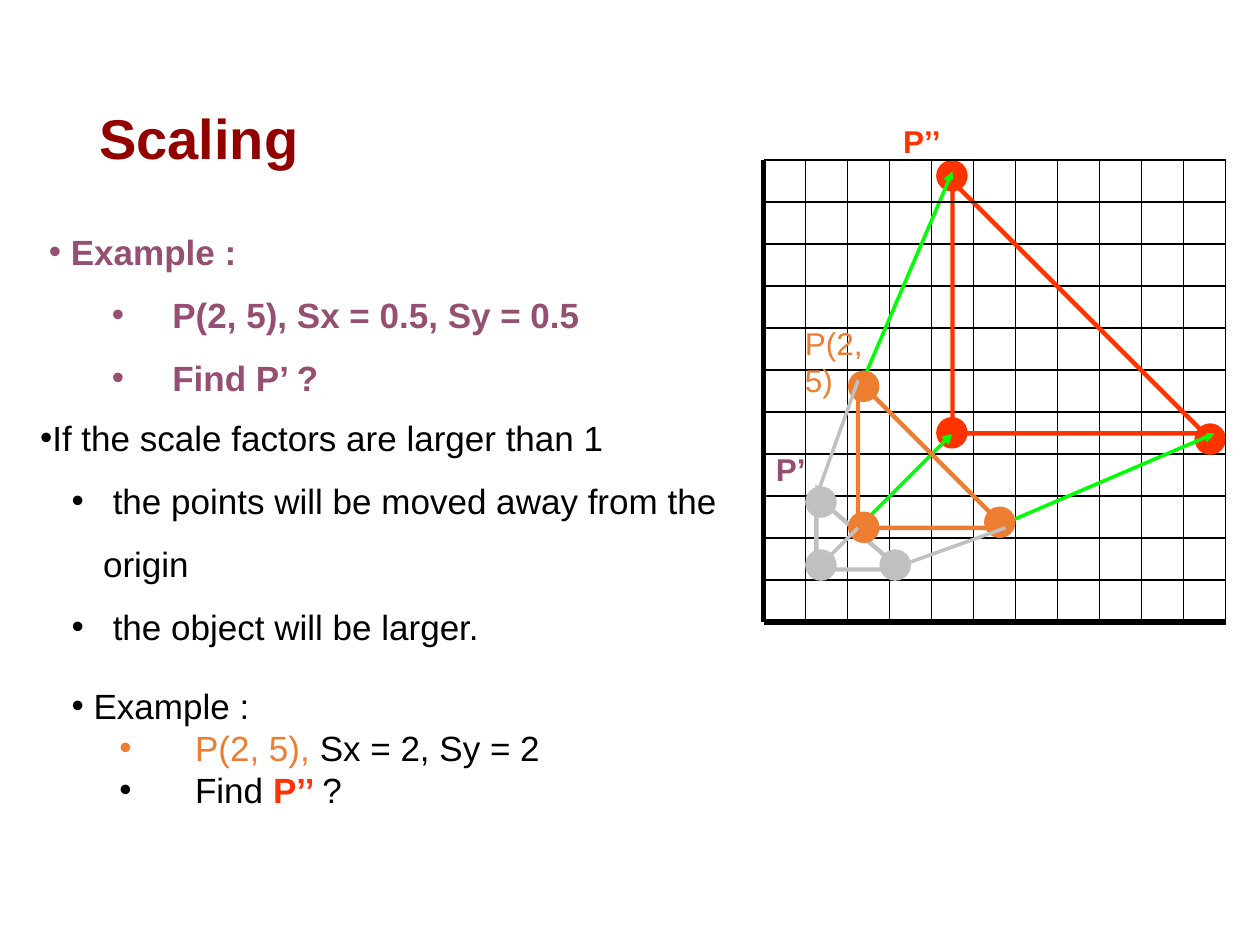
"""Build the slide that explains scaling of points on a grid."""
from dataclasses import dataclass

from lxml.etree import SubElement
from pptx import Presentation
from pptx.dml.color import RGBColor
from pptx.enum.shapes import MSO_CONNECTOR as Connector, MSO_SHAPE as Shape
from pptx.enum.text import MSO_ANCHOR as Anchor, MSO_AUTO_SIZE as AutoSize
from pptx.oxml.ns import qn
from pptx.util import Inches, Pt


@dataclass(frozen=True)
class Theme:
    """Colours, type sizes and line widths."""
    font: str = "Arial"
    black: str = "000000"
    title: str = "920000"
    purple: str = "954F72"
    original: str = "ED7D31"
    smaller: str = "C0C0C0"
    larger: str = "FF3300"
    growth: str = "00FF00"
    title_size: int = 32
    body_size: int = 20
    label_size: int = 18
    axis: float = 3
    grid: float = 0.75
    arrow: float = 2
    outline: float = 2.5


THEME = Theme()
LEFT, TOP, CELLS, CELL = 6.06, 1.27, 11, 1 / 3
RIGHT, BOTTOM = LEFT + CELLS * CELL, TOP + CELLS * CELL
DOT = 0.25


def rgb(colour):
    """Turn a hex colour into an RGBColor."""
    return RGBColor.from_string(colour)


def add_line(slide, start, end, colour, width, arrow=False):
    """Draw a straight line, with an arrowhead at its end if wanted."""
    ends = [Inches(value) for value in (*start, *end)]
    line = slide.shapes.add_connector(Connector.STRAIGHT, *ends)
    line.line.color.rgb = rgb(colour)
    line.line.width = Pt(width)
    properties = line._element.spPr
    if arrow:
        SubElement(properties.find(qn("a:ln")), qn("a:tailEnd"), type="triangle")
    SubElement(properties, qn("a:effectLst"))


def add_grid_lines(slide, columns, rows):
    """Draw grid lines, counted from the lower left corner."""
    for column in columns:
        x = LEFT + column * CELL
        add_line(slide, (x, TOP), (x, BOTTOM), THEME.black, THEME.grid)
    for row in rows:
        y = BOTTOM - row * CELL
        add_line(slide, (LEFT, y), (RIGHT, y), THEME.black, THEME.grid)


def add_axes(slide):
    """Draw the two thick axes."""
    origin = (LEFT, BOTTOM)
    add_line(slide, (LEFT, TOP), origin, THEME.black, THEME.axis)
    add_line(slide, origin, (RIGHT, BOTTOM), THEME.black, THEME.axis)


def add_vertices(slide, corners, colour):
    """Draw a dot at each vertex of a triangle."""
    for left, top in corners:
        vertex = slide.shapes.add_shape(
            Shape.OVAL, Inches(left), Inches(top), Inches(DOT), Inches(DOT))
        vertex.fill.solid()
        vertex.fill.fore_color.rgb = rgb(colour)
        vertex.line.fill.background()
        vertex.shadow.inherit = False


def add_triangle(slide, box, colour):
    """Outline a right triangle."""
    triangle = slide.shapes.add_shape(Shape.RIGHT_TRIANGLE, *map(Inches, box))
    triangle.fill.background()
    triangle.line.color.rgb = rgb(colour)
    triangle.line.width = Pt(THEME.outline)
    triangle.shadow.inherit = False


def add_moves(slide, moves, colour):
    """Draw the arrows that carry vertices to their scaled places."""
    for start, end in moves:
        add_line(slide, start, end, colour, THEME.arrow, arrow=True)


def add_runs(paragraph, runs, size):
    """Fill a paragraph with (text, colour, bold) runs."""
    for text, colour, bold in runs:
        run = paragraph.add_run()
        run.text = text
        run.font.name = THEME.font
        run.font.size = Pt(size)
        run.font.bold = bold
        run.font.color.rgb = rgb(colour)


def add_frame(slide, box, wrap=True):
    """Add a text box that grows with its text."""
    frame = slide.shapes.add_textbox(*map(Inches, box)).text_frame
    frame.word_wrap = wrap
    frame.auto_size = AutoSize.SHAPE_TO_FIT_TEXT
    return frame


def add_label(slide, box, run, wrap=False):
    """Name a point on the grid."""
    frame = add_frame(slide, box, wrap)
    add_runs(frame.paragraphs[0], [run], THEME.label_size)


def add_bullets(slide, box, items, margin, hanging, spacing):
    """Write a lead bullet followed by indented second-level bullets."""
    frame = add_frame(slide, box)
    for index, runs in enumerate(items):
        paragraph = frame.add_paragraph() if index else frame.paragraphs[0]
        paragraph.level = 1 if index else 0
        paragraph.line_spacing = spacing
        properties = paragraph._p.get_or_add_pPr()
        properties.set("marL", str(Inches(margin) if index else 0))
        properties.set("indent", str(-Inches(hanging) if index else 0))
        SubElement(properties, qn("a:buFont"), typeface=THEME.font)
        SubElement(properties, qn("a:buChar"), char="•")
        add_runs(paragraph, runs, THEME.body_size)


def add_title(slide):
    """Write the slide title."""
    frame = add_frame(slide, (0.69, 0.4, 8.62, 1.45))
    frame.auto_size = AutoSize.NONE
    frame.vertical_anchor = Anchor.MIDDLE
    frame.paragraphs[0].line_spacing = 0.9
    add_runs(frame.paragraphs[0], [("Scaling", THEME.title, True)], THEME.title_size)


def add_diagram(slide):
    """Draw the grid, the three triangles and the point labels."""
    add_axes(slide)
    add_grid_lines(slide, range(1, CELLS), range(1, CELLS - 1))
    add_vertices(slide, [(6.39, 4.36), (6.98, 4.36), (6.39, 3.86)], THEME.smaller)
    add_vertices(slide, [(7.43, 3.31), (9.48, 3.36), (7.43, 1.27)], THEME.larger)
    add_moves(slide, [((6.81, 3.11), (7.56, 1.36)),
                      ((6.89, 4.11), (7.56, 3.44)),
                      ((7.89, 4.19), (9.64, 3.44))], THEME.growth)
    add_triangle(slide, (6.48, 3.94, 0.67, 0.58), THEME.smaller)
    add_triangle(slide, (7.56, 1.44, 2, 2), THEME.larger)
    add_grid_lines(slide, [CELLS], [CELLS - 1, CELLS])
    add_vertices(slide, [(6.73, 4.06), (7.81, 4.02), (6.73, 2.94)], THEME.original)
    add_triangle(slide, (6.81, 3.02, 1.17, 1.17), THEME.original)
    add_moves(slide, [((6.81, 4.19), (6.48, 4.52)),
                      ((6.81, 3.02), (6.48, 3.94)),
                      ((7.98, 4.19), (7.06, 4.52))], THEME.smaller)
    add_label(slide, (6.29, 2.52, 0.9, 0.4), ("P(2, 5)", THEME.original, False), wrap=True)
    add_label(slide, (6.06, 3.52, 0.44, 0.4), ("P’", THEME.purple, True))
    add_label(slide, (7.07, 0.92, 0.5, 0.4), ("P’’", THEME.larger, True))


def add_explanation(slide):
    """Write the two examples and the rule between them."""
    shrinking = [" Example :", "P(2, 5), Sx = 0.5, Sy = 0.5", "Find P’ ?"]
    rule = ["If the scale factors are larger than 1",
            " the points will be moved away from the origin",
            " the object will be larger."]
    growing = [
        [(" Example :", THEME.black, False)],
        [("P(2, 5), ", THEME.original, False), ("Sx = 2, Sy = 2", THEME.black, False)],
        [("Find ", THEME.black, False), ("P’’ ", THEME.larger, True),
         ("?", THEME.black, False)],
    ]
    add_bullets(slide, (0.29, 1.61, 5, 1.62),
                [[(text, THEME.purple, True)] for text in shrinking], 0.98, 0.48, 1.5)
    add_bullets(slide, (0.22, 3.09, 5.8, 2.12),
                [[(text, THEME.black, False)] for text in rule], 0.5, 0.25, 1.5)
    add_bullets(slide, (0.47, 5.38, 5, 1.11), growing, 0.98, 0.6, 1.0)


def main():
    """Build and save the slide."""
    deck = Presentation()
    deck.slide_width, deck.slide_height = Inches(10), Inches(7.5)
    slide = deck.slides.add_slide(deck.slide_layouts[6])
    add_diagram(slide)
    add_explanation(slide)
    add_title(slide)
    deck.save("out.pptx")


if __name__ == "__main__":
    main()
